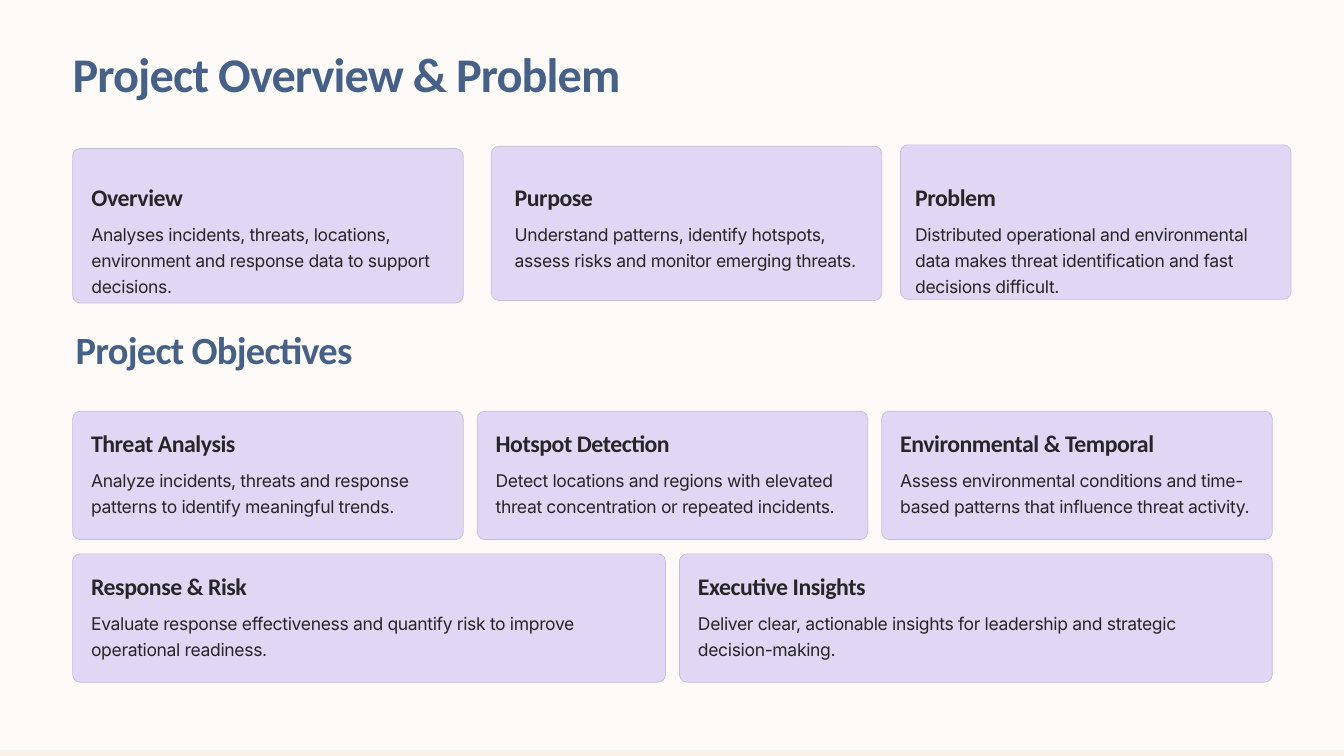
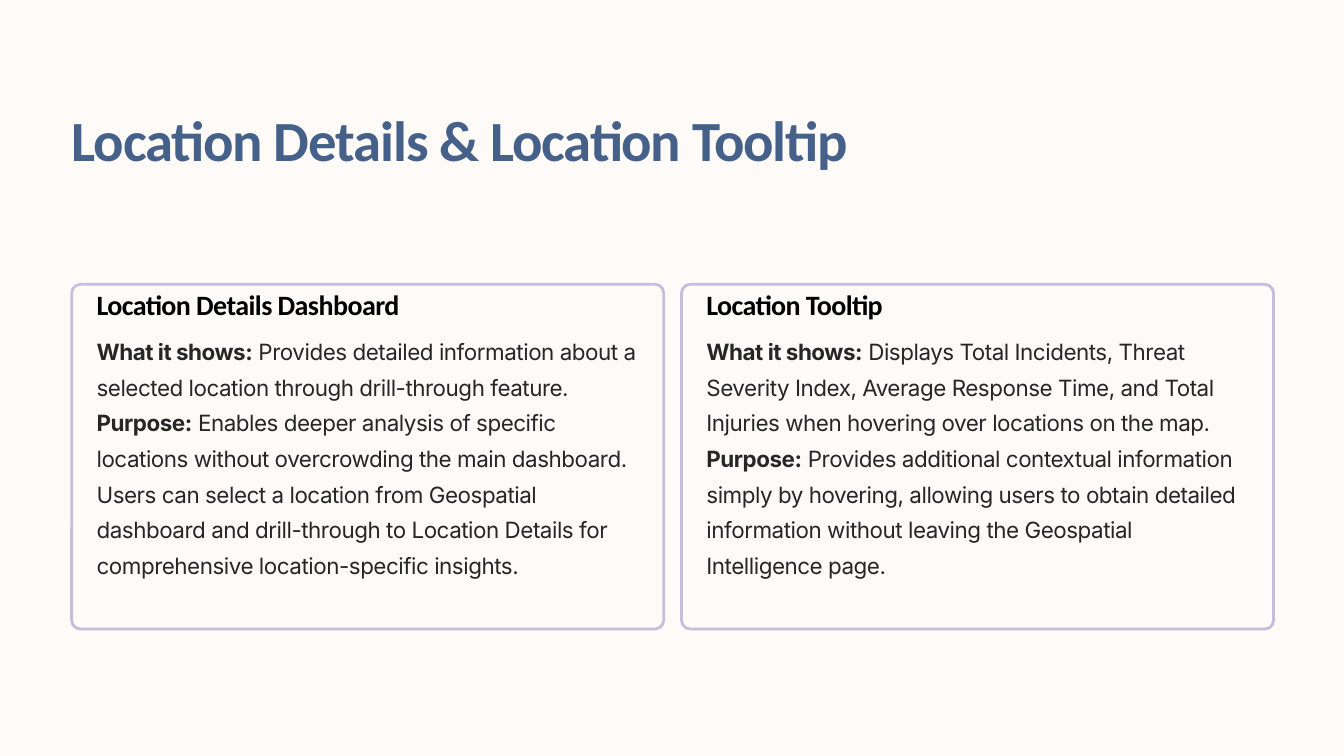
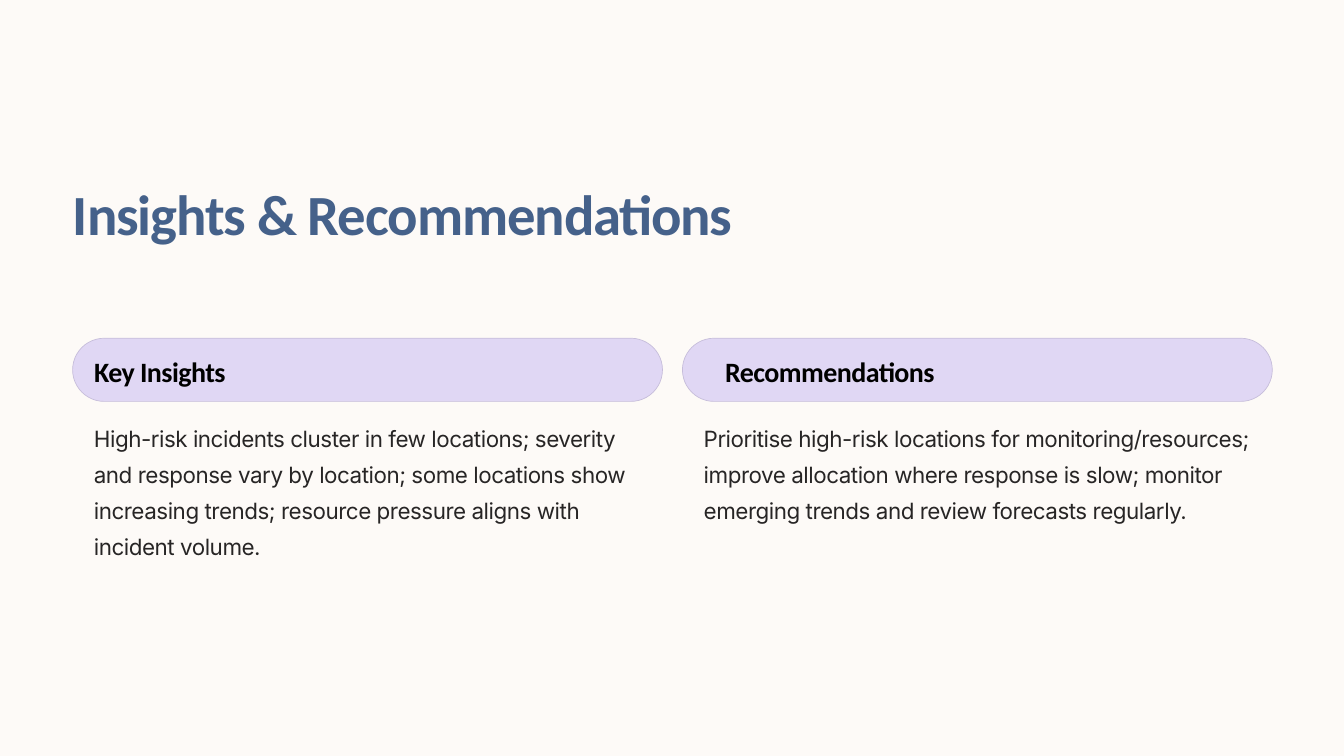
"""Builds three slides on a threat analysis project: overview, location views, insights."""
from pptx import Presentation
from pptx.dml.color import RGBColor
from pptx.enum.shapes import MSO_SHAPE as SHAPE
from pptx.enum.text import MSO_ANCHOR as ANCHOR, MSO_AUTO_SIZE as AUTO, PP_ALIGN as ALIGN
from pptx.util import Pt

rgb = RGBColor.from_string
CREAM, SAND, LILAC, EDGE = "FDFAF7", "FAF2E9", "E0D7F4", "C6BDDA"
BLUE, INK, BLACK = "45618A", "272525", "000000"

# font, size, line spacing, colour, bold
TITLE = ("Calibri", 60.8, 75.9, BLUE, True)
TITLE_SMALL = ("Calibri", 51.8, 64.6, BLUE, True)
SUBTITLE = ("Calibri", 41.3, 51.5, BLUE, True)
HEAD = ("Calibri", 30, 37.5, BLACK, True)
HEAD_SMALL = ("Calibri", 25.5, 31.8, INK, True)
BODY = ("Inter", 24, 38.3, INK, False)
BODY_SMALL = ("Inter", 18.8, 27.7, INK, False)


def write(s, box, style, *paragraphs, sp=None):
    """Fill a text box, or the given placeholder, with paragraphs made of runs."""
    font, size, spacing, color, bold = style
    sp = sp or s.shapes.add_textbox(0, 0, 0, 0)
    sp.left, sp.top, sp.width, sp.height = map(Pt, box)
    tf = sp.text_frame
    tf.margin_left = tf.margin_top = tf.margin_right = tf.margin_bottom = 0
    tf.word_wrap, tf.auto_size, tf.vertical_anchor = True, AUTO.NONE, ANCHOR.TOP
    for i, runs in enumerate(paragraphs):
        p = tf.add_paragraph() if i else tf.paragraphs[0]
        p.alignment, p.line_spacing, p.space_before = ALIGN.LEFT, Pt(spacing), Pt(0)
        p.font.name, p.font.size, p.font.bold = font, Pt(size), bold
        p.font.color.rgb = rgb(color)
        p._p.get_or_add_pPr().get_or_add_defRPr().set("spc", str(int(round(-2 * size, -1))))
        for text in runs:
            p.add_run().text = text
    return tf


def panel(s, box, radius=0, fill=LILAC, line=0.75):
    """Draw a panel, rounded if it has a radius, edged if it has a line width."""
    kind = SHAPE.ROUNDED_RECTANGLE if radius else SHAPE.RECTANGLE
    sp = s.shapes.add_shape(kind, *map(Pt, box))
    if radius:
        sp.adjustments[0] = radius / min(box[2:])
    sp.shadow.inherit = False
    sp.fill.solid()
    sp.fill.fore_color.rgb = rgb(fill)
    if line:
        sp.line.color.rgb = rgb(EDGE)
        sp.line.width = Pt(line)
    else:
        sp.line.fill.background()
    return sp


prs = Presentation()
prs.slide_width, prs.slide_height = Pt(1440), Pt(810)
bg = prs.slide_master.background.fill
bg.solid()
bg.fore_color.rgb = rgb(SAND)

slides = []
for title, box, style, page_height in [
    ("Project Overview & Problem", (77.8, 45, 1266, 65), TITLE_SMALL, 803.5),
    ("Location Details & Location Tooltip", (77, 109, 948, 75), TITLE, 810),
    ("Insights & Recommendations", (78.2, 189, 793, 75), TITLE, 810),
]:
    s = prs.slides.add_slide(prs.slide_layouts[5])
    page = panel(s, (0, 0, 1440, page_height), fill=CREAM, line=0)
    s.shapes.title.element.addprevious(page.element)
    write(s, box, style, [title], sp=s.shapes.title)
    slides.append(s)
overview, location, insights = slides

write(overview, (81, 347, 1262, 51), SUBTITLE, ["Project Objectives"])

LEFT, TOTAL, GAP, PAD = 77.8, 1285.4, 15, 19.8
third = (TOTAL - 2 * GAP) / 3
cards = [
    (LEFT, 159.2, third, 165.4, 98, 194.4, "Overview",
     "Analyses incidents, threats, locations, environment and response data to support decisions."),
    (526.4, 156.6, third, 165.4, 551.5, 194.4, "Purpose",
     "Understand patterns, identify hotspots, assess risks and monitor emerging threats."),
    (964.8, 155.2, third, 165.4, 980.6, 194.4, "Problem",
     "Distributed operational and environmental data makes threat identification and fast "
     "decisions difficult."),
]
objectives = [
    (440.6, [
        ("Threat Analysis",
         "Analyze incidents, threats and response patterns to identify meaningful trends."),
        ("Hotspot Detection",
         "Detect locations and regions with elevated threat concentration or repeated incidents."),
        ("Environmental & Temporal",
         "Assess environmental conditions and time-based patterns that influence threat activity."),
    ]),
    (593.4, [
        ("Response & Risk",
         "Evaluate response effectiveness and quantify risk to improve operational readiness."),
        ("Executive Insights",
         "Deliver clear, actionable insights for leadership and strategic decision-making."),
    ]),
]
for y, row in objectives:
    w = (TOTAL - GAP * (len(row) - 1)) / len(row)
    for i, (head, body) in enumerate(row):
        x = LEFT + i * (w + GAP)
        cards.append((x, y, w, 137.5, x + PAD, y + 18, head, body))

for x, y, w, h, text_x, text_y, head, body in cards:
    panel(overview, (x, y, w, h), 8)
    write(overview, (text_x, text_y, w - 2 * PAD, 34.6), HEAD_SMALL, [head])
    write(overview, (text_x, text_y + 40.3, w - 2 * PAD, 59), BODY_SMALL, [body])

for x, head, shows, purpose in [
    (76.8, "Location Details Dashboard",
     " Provides detailed information about a selected location through drill-through feature.",
     " Enables deeper analysis of specific locations without overcrowding the main dashboard. "
     "Users can select a location from Geospatial dashboard and drill-through to Location "
     "Details for comprehensive location-specific insights."),
    (730.2, "Location Tooltip",
     " Displays Total Incidents, Threat Severity Index, Average Response Time, and Total "
     "Injuries when hovering over locations on the map.",
     " Provides additional contextual information simply by hovering, allowing users to obtain "
     "detailed information without leaving the Geospatial Intelligence page."),
]:
    panel(location, (x, 304.6, 634.3, 369.4), 9.4, CREAM, 3)
    write(location, (x + 26.7, 306.7, 366, 36.7), HEAD, [head])
    tf = write(location, (x + 26.7, 352.5, 580.4, 265.7), BODY,
               ["What it shows:", shows], ["Purpose:", purpose])
    for p in tf.paragraphs:
        p.runs[0].font.bold = True

for x, indent, head, body in [
    (77.8, 23, "Key Insights",
     "High-risk incidents cluster in few locations; severity and response vary by location; "
     "some locations show increasing trends; resource pressure aligns with incident volume."),
    (731.2, 45.7, "Recommendations",
     "Prioritise high-risk locations for monitoring/resources; improve allocation where "
     "response is slow; monitor emerging trends and review forecasts regularly."),
]:
    panel(insights, (x, 362.4, 632, 67.7), 33.85)
    write(insights, (x + indent, 378.7, 570, 36.7), HEAD, [head])
    write(insights, (x + 22.8, 446.4, 586.8, 151), BODY, [body])

prs.save("out.pptx")
